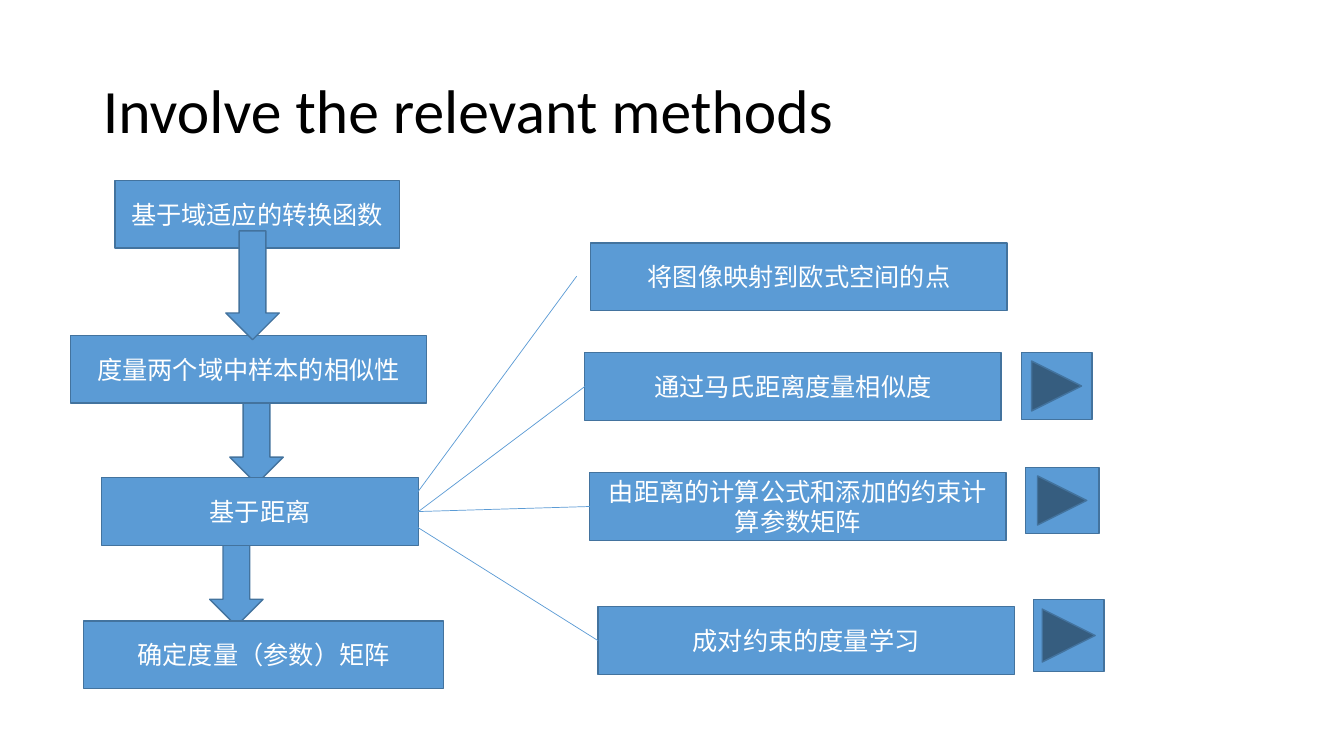
import pptx
import pptx.util
import pptx.dml.color
import pptx.enum.shapes
import pptx.enum.text
import pptx.oxml.ns
import lxml.etree
import dataclasses


@dataclasses.dataclass(frozen=True)
class Theme:
    font: str = "Calibri"
    title: int = 44
    body: int = 18
    fill: str = "5B9BD5"
    edge: str = "43739E"
    light: str = "FFFFFF"
    dark: str = "000000"


theme = Theme()
rgb = pptx.dml.color.RGBColor.from_string
kinds = pptx.enum.shapes.MSO_SHAPE
align = pptx.enum.text.PP_ALIGN
middle = pptx.enum.text.MSO_ANCHOR.MIDDLE

# Slide on a grid of ten cells to the inch
deck = pptx.Presentation()
cell = pptx.util.Inches(0.1)
deck.slide_width = pptx.util.Inches(13.33)
deck.slide_height = pptx.util.Inches(7.5)
slide = deck.slides.add_slide(deck.slide_layouts[5])
shapes = slide.shapes


def write(shape, text, size, color, side):
    frame = shape.text_frame
    frame.word_wrap = True
    frame.vertical_anchor = middle
    frame.text = text
    para = frame.paragraphs[0]
    para.alignment = side
    para.font.name = theme.font
    para.font.size = pptx.util.Pt(size)
    para.font.color.rgb = rgb(color)
    return para


def block(kind, left, top, width, height, text=""):
    shape = shapes.add_shape(kind, *(round(n * cell) for n in (left, top, width, height)))
    shape.shadow.inherit = False
    shape.fill.solid()
    shape.fill.fore_color.rgb = rgb(theme.fill)
    shape.line.color.rgb = rgb(theme.edge)
    shape.line.width = pptx.util.Pt(1)
    if text:
        write(shape, text, theme.body, theme.light, align.CENTER)
    return shape


# Title
title = shapes.title
title.left, title.top, title.width, title.height = (
    round(n * cell) for n in (9.2, 4, 115, 14.5))
head = write(title, "Involve the relevant methods", theme.title, theme.dark, align.LEFT)
head.line_spacing = 0.9

# Main flow, back to front: boxes carry a text, arrows do not
tall = 6.7
flow = [
    (22.8, 37.2, 5.3, ""),
    (7, 33.3, 35.3, "度量两个域中样本的相似性"),
    (11.4, 17.9, 28.2, "基于域适应的转换函数"),
    (22.4, 22.9, 5.3, ""),
    (20.8, 51.3, 5.3, ""),
    (8.3, 61.6, 35.7, "确定度量（参数）矩阵"),
    (10.1, 47.4, 31.4, "基于距离"),
]
for left, top, width, text in flow:
    if text:
        hub = block(kinds.FLOWCHART_PROCESS, left, top, width, tall, text)
    else:
        block(kinds.DOWN_ARROW, left, top, width, 10.8)

# Branches: box place, text, and free line ends (None where joined to a box)
branches = [
    (58.6, 24.1, "将图像映射到欧式空间的点", (39.9, 50.9), (57.2, 27.4)),
    (58, 35, "通过马氏距离度量相似度", None, None),
    (58.5, 46.9, "由距离的计算公式和添加的约束计算参数矩阵", None, None),
    (59.3, 60.2, "成对约束的度量学习", (41.4, 52.3), None),
]
for left, top, text, start, end in branches:
    box = block(kinds.FLOWCHART_PROCESS, left, top, 41.3, tall, text)
    ends = (start or (0, 0)) + (end or (0, 0))
    line = shapes.add_connector(
        pptx.enum.shapes.MSO_CONNECTOR.STRAIGHT, *(round(n * cell) for n in ends))
    if not start:
        line.begin_connect(hub, 3)
    if not end:
        line.end_connect(box, 1)
    line.line.color.rgb = rgb(theme.fill)
    line.line.width = pptx.util.Pt(0.5)
    lxml.etree.SubElement(line._element.spPr, pptx.oxml.ns.qn("a:effectLst"))

# Forward buttons
buttons = [
    (101.3, 35, 7, 6.6),
    (101.7, 46.4, 7.3, 6.5),
    (102.5, 59.5, 7, 7.1),
]
for place in buttons:
    block(kinds.ACTION_BUTTON_FORWARD_OR_NEXT, *place)

deck.save("out.pptx")
